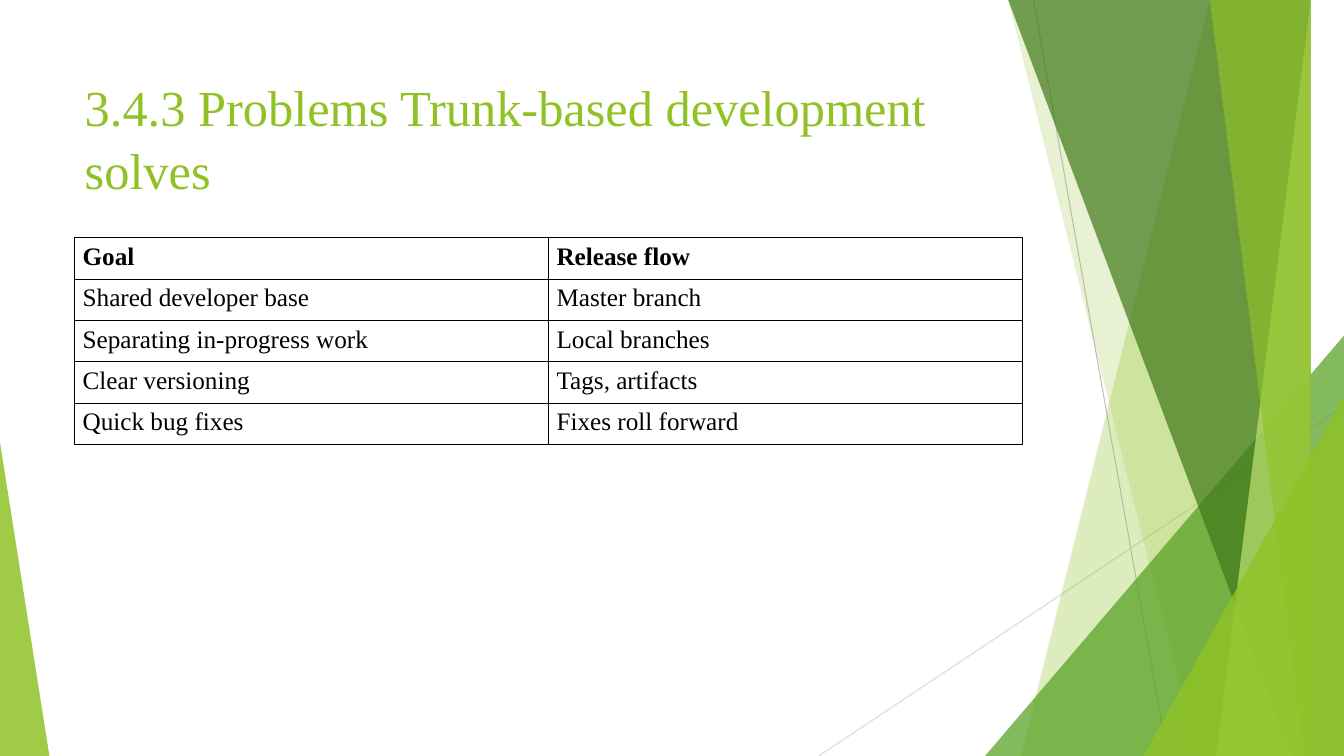
from dataclasses import dataclass

from lxml import etree
from pptx import Presentation
from pptx.dml.color import RGBColor
from pptx.enum.shapes import MSO_CONNECTOR, MSO_SHAPE
from pptx.enum.text import MSO_ANCHOR, PP_ALIGN
from pptx.oxml.ns import qn
from pptx.util import Inches, Pt

STRAIGHT = MSO_CONNECTOR.STRAIGHT
TRIANGLE = MSO_SHAPE.ISOSCELES_TRIANGLE
TOP = MSO_ANCHOR.TOP
LEFT = PP_ALIGN.LEFT

FONT = "Times New Roman"
COLORS = {
    "lime": "90C226",
    "green": "54A021",
    "forest": "3F7819",
    "pale": "C0E474",
    "gray": "BFBFBF",
    "silver": "D9D9D9",
    "black": "000000",
}
PAGE_WIDTH, PAGE_HEIGHT = 13.33, 7.5
BAND_TOP = -0.01
ROW_HEIGHT, COLUMN_WIDTH = 0.41, 4.7


@dataclass
class Ray:
    start: tuple[float, float]
    end: tuple[float, float]
    color: str


@dataclass
class Band:
    top_x: float
    bottom_x: float
    color: str
    opacity: int


@dataclass
class Wedge:
    left: float
    top: float
    width: float
    apex: int
    color: str
    opacity: int


RAYS = [
    Ray((10.25, 0), (11.58, PAGE_HEIGHT), "gray"),
    Ray((PAGE_WIDTH, 4.03), (8.12, PAGE_HEIGHT), "silver"),
]
FACETS = [
    Band(12.28, 10.04, "lime", 30),
    Band(10.5, 11.83, "lime", 20),
    Wedge(9.77, 3.33, 3.56, 1, "green", 72),
    Band(10.21, 12.91, "forest", 70),
    Band(13.03, 11.92, "pale", 70),
    Band(11.96, 13.18, "lime", 65),
    Wedge(11.34, 3.93, 1.99, 1, "lime", 80),
    Wedge(0, 4.39, 0.49, 0, "lime", 85),
]
ROWS = [
    ("Goal", "Release flow"),
    ("Shared developer base", "Master branch"),
    ("Separating in-progress work", "Local branches"),
    ("Clear versioning", "Tags, artifacts"),
    ("Quick bug fixes", "Fixes roll forward"),
]


def rgb(name: str) -> RGBColor:
    return RGBColor.from_string(COLORS[name])


def style_text(frame, size: int, color: str, bold: bool = False) -> None:
    for para in frame.paragraphs:
        para.alignment = LEFT
        for span in para.runs:
            span.font.name = FONT
            span.font.size = Pt(size)
            span.font.bold = bold
            span.font.color.rgb = rgb(color)


def draw_ray(page, ray: Ray) -> None:
    points = [Inches(value) for value in (*ray.start, *ray.end)]
    line = page.shapes.add_connector(STRAIGHT, *points)
    line.line.color.rgb = rgb(ray.color)
    line.line.width = Pt(0.75)
    etree.SubElement(line._element.spPr, qn("a:effectLst"))


def draw_facet(page, facet: Band | Wedge) -> None:
    if isinstance(facet, Band):
        outline = page.shapes.build_freeform(facet.top_x, BAND_TOP, scale=float(Inches(1)))
        outline.add_line_segments([
            (PAGE_WIDTH, BAND_TOP),
            (PAGE_WIDTH, PAGE_HEIGHT),
            (facet.bottom_x, PAGE_HEIGHT),
        ])
        shape = outline.convert_to_shape()
    else:
        shape = page.shapes.add_shape(
            TRIANGLE, Inches(facet.left), Inches(facet.top),
            Inches(facet.width), Inches(PAGE_HEIGHT - facet.top))
        shape.adjustments[0] = facet.apex
    shape.shadow.inherit = False
    shape.line.fill.background()
    shape.fill.solid()
    shape.fill.fore_color.rgb = rgb(facet.color)
    color = shape._element.spPr.find(qn("a:solidFill"))[0]
    etree.SubElement(color, qn("a:alpha"), val=str(facet.opacity * 1000))


def add_title(page) -> None:
    title = page.shapes.title
    title.left, title.top = Inches(0.74), Inches(0.67)
    title.width, title.height = Inches(9.4), Inches(1.44)
    frame = title.text_frame
    frame.text = "3.4.3 Problems Trunk-based development solves"
    frame.vertical_anchor = TOP
    frame.paragraphs[0].line_spacing = 1.05
    style_text(frame, 36, "lime")


def add_borders(cell) -> None:
    properties = cell._tc.get_or_add_tcPr()
    for index, side in enumerate(("lnL", "lnR", "lnT", "lnB")):
        border = etree.Element(qn(f"a:{side}"), w=str(Pt(1)))
        fill = etree.SubElement(border, qn("a:solidFill"))
        etree.SubElement(fill, qn("a:srgbClr"), val=COLORS["black"])
        properties.insert(index, border)


def add_goal_table(page) -> None:
    columns = len(ROWS[0])
    table = page.shapes.add_table(
        len(ROWS), columns, Inches(0.74), Inches(2.36),
        Inches(COLUMN_WIDTH * columns), Inches(ROW_HEIGHT * len(ROWS))).table
    table.horz_banding = False
    for row_index, texts in enumerate(ROWS):
        table.rows[row_index].height = Inches(ROW_HEIGHT)
        for column_index, text in enumerate(texts):
            cell = table.cell(row_index, column_index)
            cell.text_frame.text = text
            cell.margin_left = cell.margin_right = Inches(0.08)
            cell.margin_top = cell.margin_bottom = Inches(0.05)
            cell.fill.background()
            add_borders(cell)
            style_text(cell.text_frame, 18, "black", bold=row_index == 0)


def main() -> None:
    deck = Presentation()
    deck.slide_width, deck.slide_height = Inches(PAGE_WIDTH), Inches(PAGE_HEIGHT)
    page = deck.slides.add_slide(deck.slide_layouts[5])
    for ray in RAYS:
        draw_ray(page, ray)
    for facet in FACETS:
        draw_facet(page, facet)
    add_title(page)
    add_goal_table(page)
    deck.save("out.pptx")


if __name__ == "__main__":
    main()
